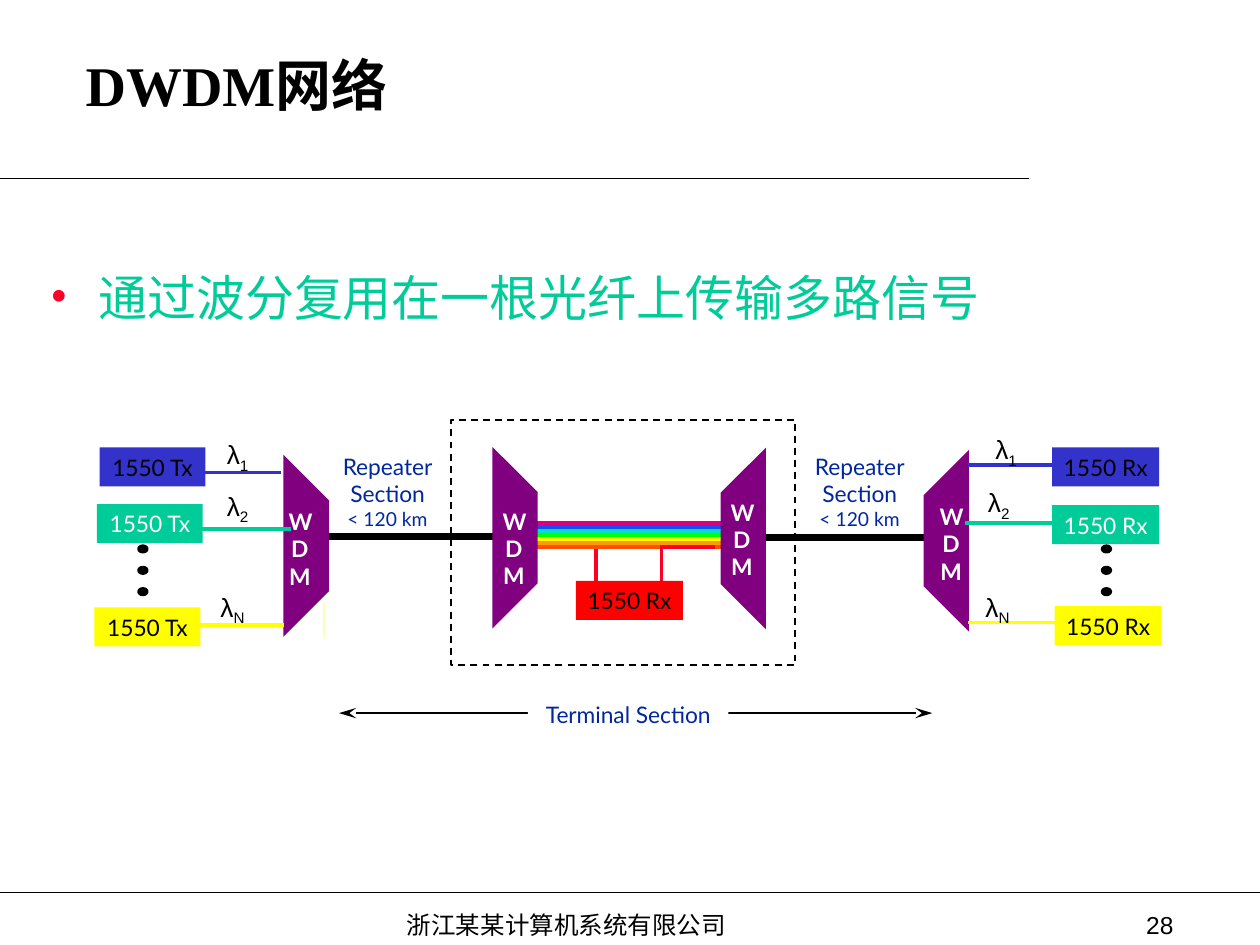
import pptx
import pptx.util
import pptx.dml.color
import pptx.enum.dml
import pptx.enum.shapes
import pptx.enum.text
import pptx.oxml.ns
from lxml import etree

Pt = pptx.util.Pt
KIND = pptx.enum.shapes.MSO_SHAPE
ALIGN = pptx.enum.text.PP_ALIGN
ANCHOR = pptx.enum.text.MSO_ANCHOR
BLUE, GREEN, YELLOW = "3333CC", "00CC99", "FFFF00"
BLACK, WHITE, NAVY, PURPLE, RED = "000000", "FFFFFF", "00279F", "800080", "FC0128"
RAINBOW = ["DC0081", "114FFB", "00DFCA", "00FF00", "FAFD00", "FE9B03", "FF5008"]


def color(hexa):
    """Turn a hex string into a colour."""
    return pptx.dml.color.RGBColor.from_string(hexa)


def sub(node, tag, **attrs):
    """Add a drawing element under a node."""
    return etree.SubElement(node, pptx.oxml.ns.qn("a:" + tag), attrs)


def write(shape, lines, hue, size, font="Lato", align=ALIGN.CENTER, bold=False,
          inset=(6.5, 3.6), wrap=False, anchor=ANCHOR.TOP):
    """Fill a shape with lines of text, all in one style."""
    frame = shape.text_frame
    frame.word_wrap = wrap
    frame.vertical_anchor = anchor
    frame.margin_left = frame.margin_right = Pt(inset[0])
    frame.margin_top = frame.margin_bottom = Pt(inset[1])
    frame.text = "\n".join(lines)
    for para in frame.paragraphs:
        para.alignment = align
        style(para, hue, size, font, bold)
    return frame


def style(para, hue, size, font="Lato", bold=False):
    """Set the font of a paragraph."""
    para.font.name = font
    para.font.size = Pt(size)
    para.font.bold = bold
    para.font.color.rgb = color(hue)


def label(slide, box, lines, hue, size, **look):
    """Add a text box."""
    return write(slide.shapes.add_textbox(*map(Pt, box)), lines, hue, size, **look)


def block(slide, box, fill, kind=KIND.RECTANGLE):
    """Add a plain shape, without fill if none is given."""
    shape = slide.shapes.add_shape(kind, *map(Pt, box))
    shape.shadow.inherit = False
    shape.line.fill.background()
    if fill:
        shape.fill.solid()
        shape.fill.fore_color.rgb = color(fill)
    else:
        shape.fill.background()
    return shape


def line(slide, start, end, hue, width, heads=False):
    """Add a straight line, with arrowheads at both ends if asked."""
    link = slide.shapes.add_connector(
        pptx.enum.shapes.MSO_CONNECTOR.STRAIGHT, *map(Pt, (*start, *end)))
    link.line.color.rgb = color(hue)
    link.line.width = Pt(width)
    if heads:
        for tag in ("headEnd", "tailEnd"):
            sub(link.line._get_or_add_ln(), tag, type="stealth", w="med", len="lg")
    sub(link._element.spPr, "effectLst")


def unit(slide, box, name, fill, hue=BLACK):
    """Draw a transmitter or receiver block."""
    write(block(slide, box, fill), [name], hue, 13)


def wedge(slide, box, shift, wide):
    """Draw a multiplexer whose wide side is left or right."""
    x, y, w, h = box
    near, far = (x, x + w) if wide == "left" else (x + w, x)
    form = slide.shapes.build_freeform(Pt(near), Pt(y), 1.0)
    form.add_line_segments([(Pt(near), Pt(y + h)), (Pt(far), Pt(y + h - w)),
                            (Pt(far), Pt(y + w))])
    shape = form.convert_to_shape()
    shape.shadow.inherit = False
    shape.fill.solid()
    shape.fill.fore_color.rgb = color(PURPLE)
    shape.line.fill.background()
    label(slide, (x + shift[0], y + shift[1], w, 53.3), "WDM", WHITE, 13, bold=True)


def bank(slide, box, name, rows, dots):
    """Draw three channels: line, block and wavelength, and the dots between."""
    x, y, w, h = box
    looks = [("1", BLUE, BLACK), ("2", GREEN, WHITE), ("Ν", YELLOW, BLACK)]
    for (mark, fill, hue), (left, top, run, end, tagx, tagy) in zip(looks, rows):
        line(slide, (x + left + w / 2, y + run), (x + end, y + run), fill, 2)
        unit(slide, (x + left, y + top, w, 22.3), name, fill, hue)
        frame = label(slide, (x + tagx, y + tagy, 36, 26), ["λ"], BLACK, 15, font="Arial",
                      align=ALIGN.LEFT, inset=(5.8, 2.9), wrap=True)
        low = frame.paragraphs[0].add_run()
        low.text = mark
        low._r.get_or_add_rPr().set("baseline", "-25000")
    for step in range(3):
        dot = block(slide, (x + dots, y + 72.5 + 12.2 * step, 4.5, 3.2), BLACK, KIND.OVAL)
        dot.line.color.rgb = color(BLACK)
        dot.line.width = Pt(2)


def span(slide, box):
    """Label a repeater section."""
    frame = label(slide, box, ["Repeater", "Section", "< 120 km"], NAVY, 13, inset=(6.5, 2.9))
    frame.paragraphs[2].font.size = Pt(11)


def middle(slide, box):
    """Draw the dashed repeater with its wavelengths and drop receiver."""
    x, y, w, h = box
    for step, hue in enumerate(RAINBOW):
        run = y + 59 + 2.3 * step
        line(slide, (x + 46, run), (x + 156, run), hue, 2)
    line(slide, (x + 119.5, y + 72.8), (x + 151, y + 72.8), RED, 2)
    line(slide, (x + 120.2, y + 73.4), (x + 120.2, y + 111), RED, 2)
    line(slide, (x + 82.8, y + 74.2), (x + 82.8, y + 107), RED, 2)
    frame = block(slide, box, None)
    frame.line.color.rgb = color(BLACK)
    frame.line.width = Pt(1)
    frame.line.dash_style = pptx.enum.dml.MSO_LINE.DASH
    unit(slide, (x + 71.3, y + 92.2, 61.2, 22.3), "1550 Rx", "FF0000")
    wedge(slide, (x + 23.6, y + 15.6, 25.9, 103.8), (-0.7, 31), "left")
    wedge(slide, (x + 154, y + 16, 25.9, 103.8), (-0.8, 25.5), "right")


def reach(slide, box):
    """Draw the terminal section arrow with its label."""
    x, y, w, h = box
    line(slide, (x, y + 10.1), (x + w, y + 10.1), BLACK, 1, heads=True)
    write(block(slide, (x + 108, y, 114.5, h), WHITE), ["Terminal Section"], NAVY, 13,
          inset=(6.5, 2.9))


def network(slide, box):
    """Draw the whole link from transmitters to receivers."""
    x, y, w, h = box
    line(slide, (x + 131, y + 104.4), (x + 131, y + 124.4), "FCFEB9", 1)
    line(slide, (x + 127, y + 67), (x + 239, y + 67), BLACK, 4)
    line(slide, (x + 375, y + 67.8), (x + 498, y + 67.8), BLACK, 4)
    wedge(slide, (x + 108, y + 20.4, 25.9, 103.8), (-3.6, 26.6), "left")
    wedge(slide, (x + 473.8, y + 17.5, 25.9, 103.8), (2.7, 26.6), "right")
    bank(slide, (x, y, 60.5, h), "1550 Tx",
         [(2.9, 16, 30.4, 106.6, 69.8, 8.1), (1.4, 48.4, 62.8, 112.3, 69.8, 37.6),
          (0, 107.5, 117.5, 108.4, 66.2, 95.2)], 25.4)
    bank(slide, (x, y, 61.2, h), "1550 Rx",
         [(547.2, 16, 26.1, 499, 509, 5.2), (547.2, 49, 59.2, 497.5, 504.7, 35.4),
          (548.6, 106.7, 116, 499, 503.3, 95.2)], 576)
    middle(slide, (x + 203.8, y + 0.2, 196.6, 140.4))
    span(slide, (x + 131.8, y + 16, 71.3, 50.4))
    span(slide, (x + 401.6, y + 16, 71.3, 50.4))
    reach(slide, (x + 139.7, y + 157.8, 339.1, 21.6))


def head(slide, box):
    """Write the title above its rule."""
    x, y, w, h = box
    line(slide, (x, y + h), (x + 588, y + h), BLACK, 0.75)
    label(slide, (x + 41.8, y + 30.2, 617.8, 36), ["DWDM网络"], BLACK, 32, bold=True,
          font="Times New Roman", align=ALIGN.LEFT, inset=(7.2, 3.6), wrap=True,
          anchor=ANCHOR.MIDDLE)


def point(slide, box):
    """Write the bullet line."""
    frame = slide.shapes.add_textbox(*map(Pt, box)).text_frame
    frame.word_wrap = True
    frame.margin_left = frame.margin_right = Pt(8.6)
    frame.margin_top = frame.margin_bottom = Pt(4.3)
    para = frame.paragraphs[0]
    para.text = "通过波分复用在一根光纤上传输多路信号"
    props = para._p.get_or_add_pPr()
    props.set("marL", str(Pt(27.4)))
    props.set("indent", str(-Pt(27.4)))
    sub(sub(props, "buClr"), "srgbClr", val=RED)
    sub(props, "buFont", typeface="Times New Roman")
    sub(props, "buChar", char="•")
    style(para, GREEN, 28, "Times New Roman")


def foot(slide, box):
    """Write the company and page number below a rule."""
    x, y, w, h = box
    line(slide, (x, y), (x + w, y), BLACK, 0.75)
    label(slide, (x + 225.4, y + 6.4, 224.6, 24), ["浙江某某计算机系统有限公司"], BLACK, 14,
          font="Times New Roman", align=ALIGN.LEFT, inset=(7.2, 3.6), wrap=True)
    label(slide, (x + 527.8, y + 6.4, 149.8, 23.8), ["28"], BLACK, 14, font="Arial",
          align=ALIGN.RIGHT, inset=(7.2, 3.6), wrap=True)


def main():
    """Build the slide and save it."""
    deck = pptx.Presentation()
    deck.slide_width, deck.slide_height = Pt(720), Pt(540)
    slide = deck.slides.add_slide(deck.slide_layouts[6])
    head(slide, (0, 0, 720, 102))
    point(slide, (20.2, 148.3, 699.8, 49.7))
    network(slide, (54, 239.6, 610, 180))
    foot(slide, (0, 510, 720, 30))
    deck.save("out.pptx")


if __name__ == "__main__":
    main()
